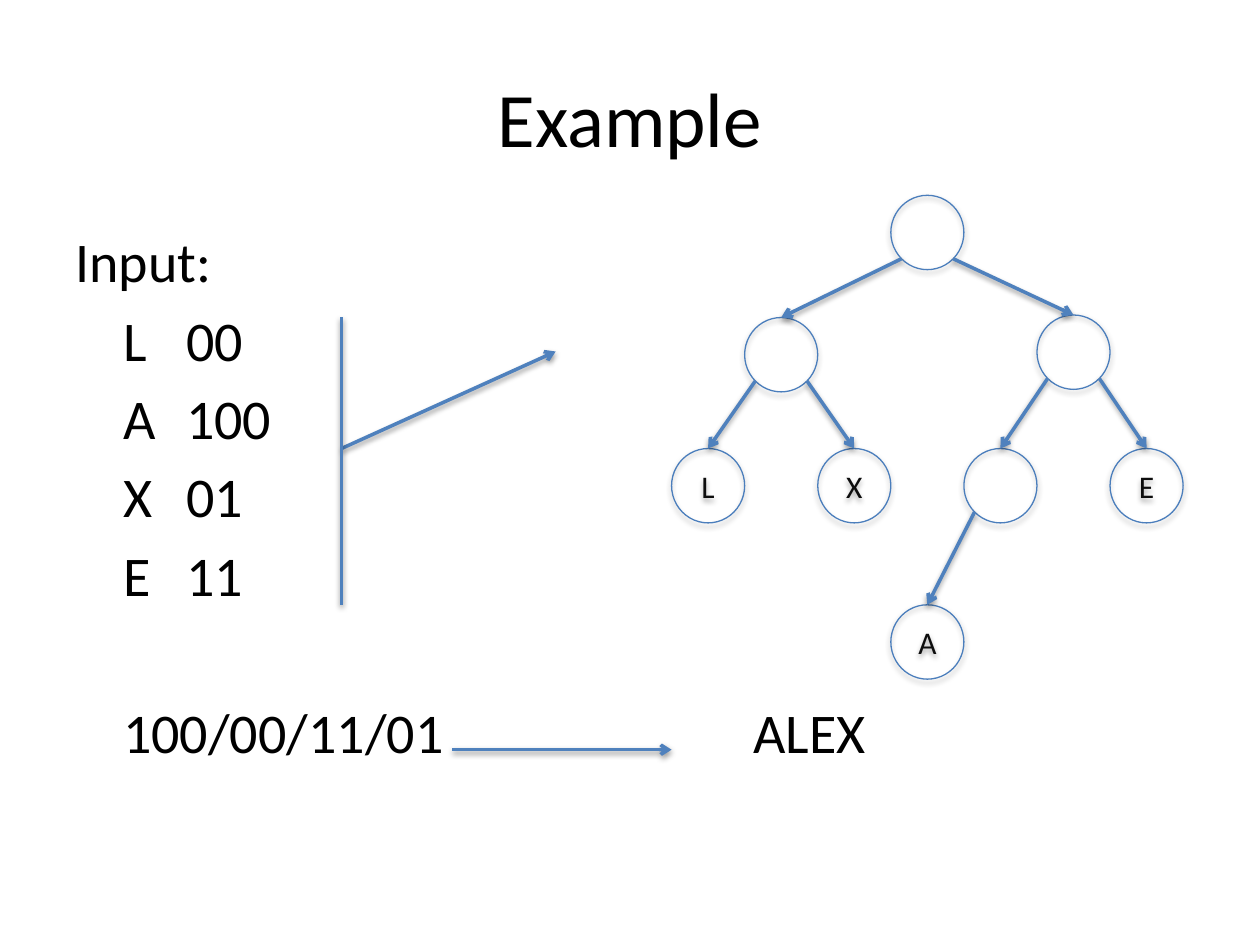
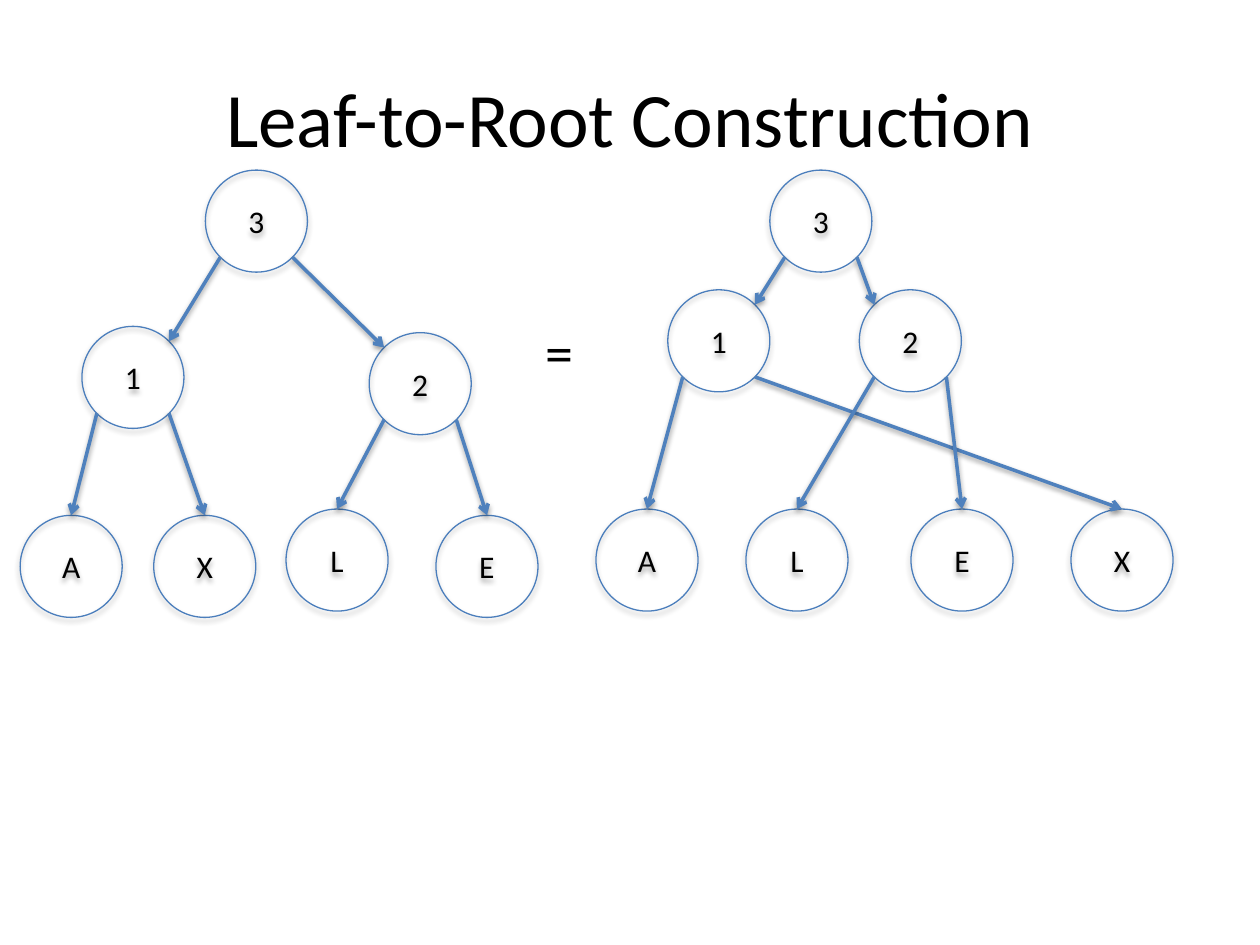
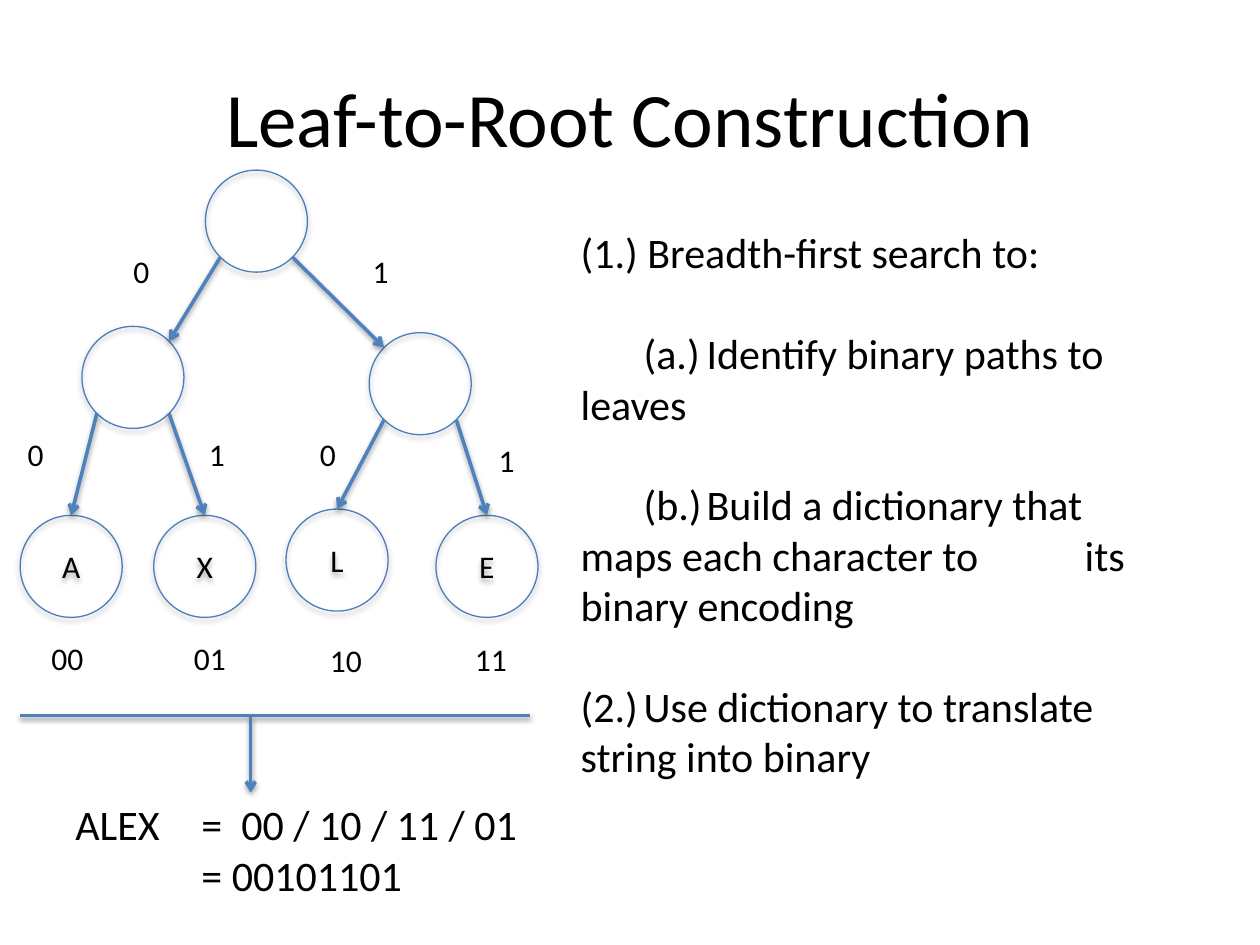
import pptx
import pptx.dml.color
import pptx.enum.shapes
import pptx.enum.text
import pptx.oxml
import pptx.oxml.ns
import pptx.util
from math import sqrt

Inches = pptx.util.Inches
Pt = pptx.util.Pt
RGBColor = pptx.dml.color.RGBColor
PP_ALIGN = pptx.enum.text.PP_ALIGN

FONT = "Calibri"
BLACK = RGBColor(0x00, 0x00, 0x00)
NEAR_BLACK = RGBColor(0x0D, 0x0D, 0x0D)
ARROW_BLUE = RGBColor(0x4F, 0x81, 0xBD)
OUTLINE_BLUE = RGBColor(0x4B, 0x7E, 0xBC)
ARROWHEAD = f'<a:tailEnd {pptx.oxml.ns.nsdecls("a")} type="arrow"/>'

TITLE_AREA = (0.5, 0.3, 9, 1.25)
LINE_HEIGHT = 1.2  # times the text size

# Nodes: name -> (left, top). Children: parent -> (left child, right child).
DECODING_TREE = {
    "size": (0.58, 0.59),
    "nodes": {"root": (7.07, 1.55), "0": (5.91, 2.52), "1": (8.23, 2.5),
              "L": (5.33, 3.56), "X": (6.49, 3.56), "10": (7.65, 3.56),
              "E": (8.81, 3.56), "A": (7.07, 4.8)},
    "children": {"root": ("0", "1"), "0": ("L", "X"), "1": ("10", "E"),
                 "10": ("A", None)},
}
AXLE_TREE = {
    "size": (0.81, 0.81),
    "nodes": {"3": (1.63, 1.35), "1": (0.65, 2.59), "2": (2.93, 2.64),
              "A": (0.16, 4.09), "X": (1.22, 4.09), "L": (2.27, 4.04),
              "E": (3.46, 4.09)},
    "children": {"3": ("1", "2"), "1": ("A", "X"), "2": ("L", "E")},
}
ALEX_TREE = {
    "size": (0.81, 0.81),
    "nodes": {"3": (6.11, 1.35), "1": (5.3, 2.3), "2": (6.82, 2.3),
              "A": (4.73, 4.04), "L": (5.92, 4.04), "E": (7.23, 4.04),
              "X": (8.5, 4.04)},
    "children": {"3": ("1", "2"), "1": ("A", "X"), "2": ("L", "E")},
}

CODE_LINES = ["Input:", "\tL\t00", "\tA\t100", "\tX\t01", "\tE\t11",
              "\t100/00/11/01\t\t\t\t\tALEX"]
STEPS = ["(1.) Breadth-first search to:",
         "\t(a.)\tIdentify binary paths to \t\tleaves",
         "\t(b.)\tBuild a dictionary that \t\tmaps each character to \t\tits binary encoding",
         "(2.)\tUse dictionary to translate \tstring into binary"]
RESULT = ["ALEX\t=  00 / 10 / 11 / 01", "\t\t= 00101101"]
BRANCH_BITS = [("0", 0.96, 1.95), ("0", 0.12, 3.4), ("0", 2.44, 3.4),
               ("1", 2.86, 1.95), ("1", 1.56, 3.4), ("1", 3.86, 3.45)]
LEAF_CODES = [("00", 0.31, 5.02), ("01", 1.44, 5.02), ("10", 2.52, 5.04),
              ("11", 3.67, 5.03)]


def style_text(paragraph, size, color=BLACK, align=None):
    paragraph.font.name = FONT
    paragraph.font.size = Pt(size)
    paragraph.font.color.rgb = color
    paragraph.alignment = align


def add_text(slide, area, lines, size, align=None):
    frame = slide.shapes.add_textbox(*map(Inches, area)).text_frame
    frame.word_wrap = True
    frame.text = "\n".join(lines)
    for paragraph in frame.paragraphs:
        style_text(paragraph, size, align=align)
    return frame


def add_line(slide, start, end, arrow=True):
    """Draw a blue line; it keeps the soft shadow of the theme."""
    line = slide.shapes.add_connector(
        pptx.enum.shapes.MSO_CONNECTOR.STRAIGHT, *map(Inches, (*start, *end)))
    line.line.color.rgb = ARROW_BLUE
    line.line.width = Pt(2)
    if arrow:
        line.line._get_or_add_ln().append(pptx.oxml.parse_xml(ARROWHEAD))


def add_node(slide, area, label, color):
    """Draw an open circle; it keeps the soft shadow of the theme."""
    circle = slide.shapes.add_shape(
        pptx.enum.shapes.MSO_SHAPE.OVAL, *map(Inches, area))
    circle.fill.background()
    circle.line.color.rgb = OUTLINE_BLUE
    circle.line.width = Pt(0.75)
    if label:
        circle.text_frame.text = label
        style_text(circle.text_frame.paragraphs[0], 18, color, PP_ALIGN.CENTER)


def add_tree(slide, tree, label_inner=True, to_corners=True, color=BLACK):
    """Draw nodes and arrows; to_corners ends arrows to inner nodes at the facing corner."""
    width, height = tree["size"]
    nodes, children = tree["nodes"], tree["children"]

    def rim(name, across, down):
        left, top = nodes[name]
        return left + width / 2 * (1 + across), top + height / 2 * (1 + down)

    for name, place in nodes.items():
        label = name if label_inner or name not in children else ""
        add_node(slide, (*place, width, height), label, color)
    diagonal = 1 / sqrt(2)
    for parent, pair in children.items():
        for child, side in zip(pair, (-diagonal, diagonal)):
            if child is None:
                continue
            if to_corners and child in children:
                end = rim(child, -side, -diagonal)
            else:
                end = rim(child, 0, -1)
            add_line(slide, rim(parent, side, diagonal), end)


def add_slide(presentation, title):
    slide = presentation.slides.add_slide(presentation.slide_layouts[6])
    frame = add_text(slide, TITLE_AREA, [title], 44, PP_ALIGN.CENTER)
    frame.vertical_anchor = pptx.enum.text.MSO_ANCHOR.MIDDLE
    return slide


def build_example(presentation):
    slide = add_slide(presentation, "Example")
    size, gap = 32, 6.4
    paragraphs = add_text(slide, (0.5, 1.75, 7.24, 4.95), CODE_LINES, size).paragraphs
    for paragraph in paragraphs:
        paragraph.space_before = Pt(gap)
        properties = paragraph._p.get_or_add_pPr()
        properties.set("marL", str(Inches(0.38)))
        properties.set("indent", str(Inches(-0.38)))
    paragraphs[-1].space_before = Pt(2 * gap + size * LINE_HEIGHT)
    add_line(slide, (2.71, 3.56), (4.41, 2.79))
    add_line(slide, (2.71, 2.52), (2.71, 4.8), arrow=False)
    add_tree(slide, DECODING_TREE, label_inner=False, to_corners=False, color=NEAR_BLACK)
    add_line(slide, (3.59, 5.95), (5.33, 5.95))


def build_equal_trees(presentation):
    slide = add_slide(presentation, "Leaf-to-Root Construction")
    add_tree(slide, ALEX_TREE)
    add_tree(slide, AXLE_TREE)
    add_text(slide, (3.74, 2.47, 1.4, 0.64), ["="], 32, PP_ALIGN.CENTER)


def build_encoding(presentation):
    slide = add_slide(presentation, "Leaf-to-Root Construction")
    add_tree(slide, AXLE_TREE, label_inner=False)
    steps = add_text(slide, (4.51, 1.35, 4.61, 4.95), STEPS, 24)
    steps.margin_top = Inches(0.45)
    for paragraph in steps.paragraphs[1:]:
        paragraph.space_before = Pt(24 * LINE_HEIGHT)
    for labels, width in ((BRANCH_BITS, 0.38), (LEAF_CODES, 0.55)):
        for text, left, top in labels:
            add_text(slide, (left, top, width, 0.4), [text], 18)
    add_line(slide, (0.16, 5.68), (4.21, 5.68), arrow=False)
    add_line(slide, (1.99, 5.69), (1.99, 6.29))
    add_text(slide, (0.5, 6.29, 3.71, 0.91), RESULT, 24)


def main():
    presentation = pptx.Presentation()
    presentation.slide_width = Inches(10)
    presentation.slide_height = Inches(7.5)
    build_example(presentation)
    build_equal_trees(presentation)
    build_encoding(presentation)
    presentation.save("out.pptx")


if __name__ == "__main__":
    main()
